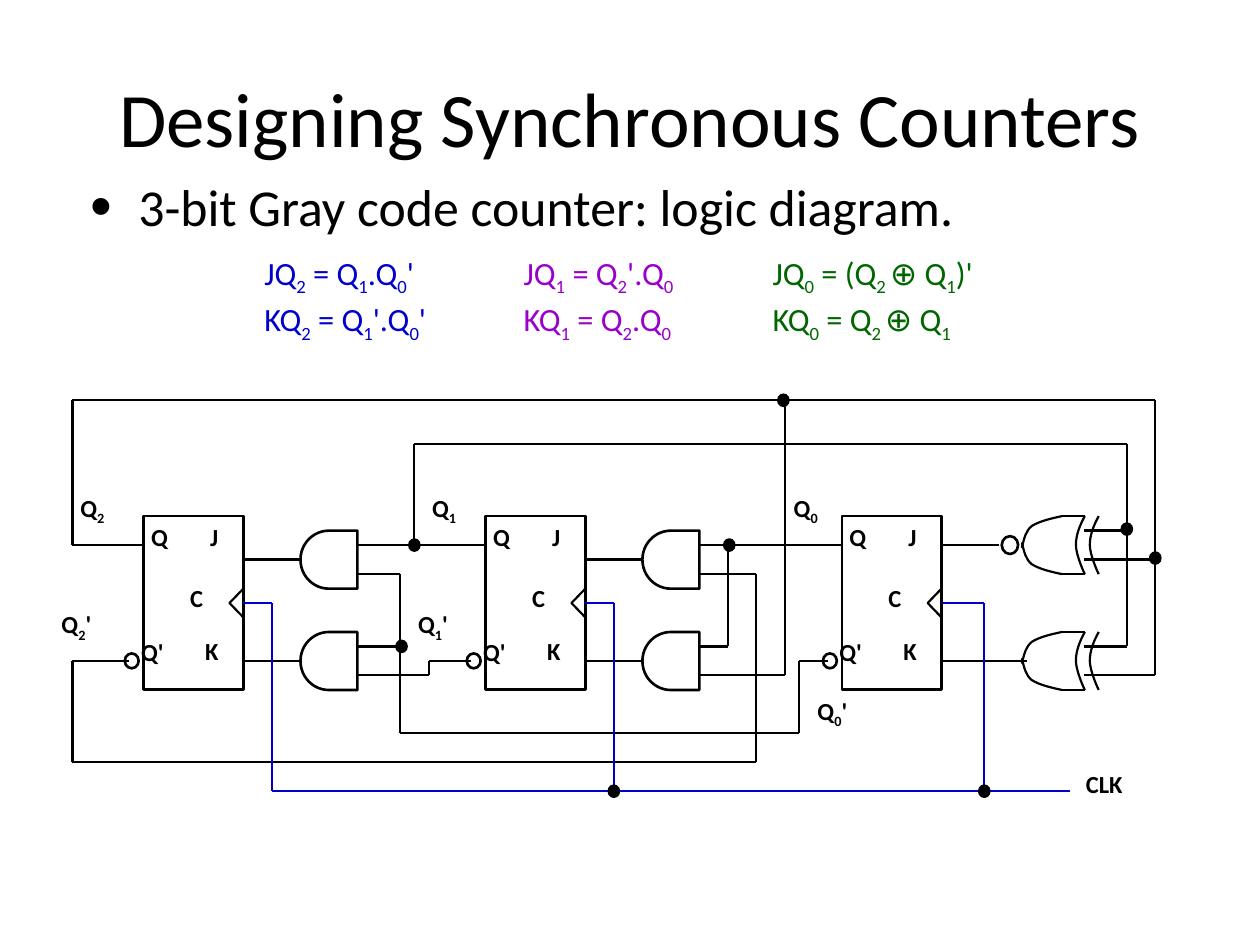
from dataclasses import dataclass

from lxml.etree import SubElement
from pptx import Presentation
from pptx.dml.color import RGBColor
from pptx.enum.shapes import MSO_CONNECTOR, MSO_SHAPE
from pptx.enum.text import MSO_ANCHOR, PP_ALIGN
from pptx.oxml.ns import qn
from pptx.util import Cm, Pt

BLACK = RGBColor(0x00, 0x00, 0x00)
BLUE = RGBColor(0x00, 0x00, 0xCC)
PURPLE = RGBColor(0x99, 0x00, 0xCC)
GREEN = RGBColor(0x00, 0x66, 0x00)

COLUMN_WIDTH = 21.83 / 76
ROW_HEIGHT = 7.88 / 27
GATE_HEIGHT = 1.17
RIGHT_SIDE = 3


@dataclass(frozen=True)
class Label:
    text: str
    left: float
    top: float
    width: float
    height: float = 1.17


@dataclass(frozen=True)
class Wire:
    points: tuple
    color: RGBColor = BLACK


FLIP_FLOP_COLUMNS = (5, 29, 54)
FLIP_FLOP_LABELS = (
    Label("J", 1.09, 0, 1.02),
    Label("C", 0.69, 1.22, 1.22),
    Label("Q", -0.1, 0, 1.14),
    Label("Q'", -0.3, 2.32, 1.45),
    Label("K", 0.99, 2.3, 1.12),
)
SIGNAL_LABELS = (
    Label("Q_2", 1.37, 9.82, 1.52),
    Label("Q_1", 8.46, 9.82, 1.52),
    Label("Q_0", 15.75, 9.82, 1.52),
    Label("Q_2_'", 0.99, 12.16, 1.63, 2.01),
    Label("Q_1_'", 8.18, 12.16, 1.63, 2.01),
    Label("Q_0_'", 16.23, 13.91, 1.63, 2.01),
    Label("CLK", 21.64, 15.37, 1.93),
)
WIRES = (
    Wire(((5, 10), (0, 10), (0, 0), (76, 0), (76, 19), (71, 19))),
    Wire(((76, 11), (71, 11))),
    Wire(((24, 10), (24, 3), (74, 3), (74, 17), (71, 17))),
    Wire(((74, 9), (71, 9))),
    Wire(((29, 10), (20, 10))),
    Wire(((54, 10), (44, 10))),
    Wire(((46, 10), (46, 17), (44, 17))),
    Wire(((50, 0), (50, 19), (44, 19))),
    Wire(((4, 18), (0, 18), (0, 25), (48, 25), (48, 12), (44, 12))),
    Wire(((53, 18), (51, 18), (51, 23), (23, 23), (23, 12), (20, 12))),
    Wire(((23, 17), (20, 17))),
    Wire(((28, 18), (25, 18), (25, 19), (20, 19))),
    Wire(((12, 11), (16, 11))),
    Wire(((12, 18), (16, 18))),
    Wire(((36, 11), (40, 11))),
    Wire(((36, 18), (40, 18))),
    Wire(((61, 10), (65, 10))),
    Wire(((61, 18), (67, 18))),
)
CLOCK_WIRES = (
    Wire(((12, 14), (14, 14), (14, 27), (70, 27)), BLUE),
    Wire(((36, 14), (38, 14), (38, 27)), BLUE),
    Wire(((61, 14), (64, 14), (64, 27)), BLUE),
)
JUNCTIONS = ((49.9, 0), (74, 8.9), (24, 10), (46.1, 10), (76, 10.9), (23.1, 17), (38, 27), (64, 27))
FORMULAS = (
    (9, (("\t\tJQ_2_ = Q_1_.Q_0_'\t ", BLUE), ("JQ_1_ = Q_2_'.Q_0\t ", PURPLE),
         ("JQ_0_ = (Q_2 _⊕ Q_1_)'", GREEN))),
    (1.5, (("\t\tKQ_2_ = Q_1_'.Q_0_'\t ", BLUE), ("KQ_1_ = Q_2_.Q_0\t ", PURPLE),
           ("KQ_0_ = Q_2 _⊕ Q_1", GREEN))),
)
TAB_STOPS = (0.97, 3.51, 8.59, 13.67)
NOSE = ((0.81, 0), (0.58, 0.05), (0.36, 0.1), (0.2, 0.2), (0.08, 0.3), (0.05, 0.43), (0, 0.64))
BACK = ((1.27, 0), (1.17, 0.18), (1.09, 0.38), (1.09, 0.58), (1.09, 0.76), (1.22, 1.07), (1.27, 1.17))


def column(number: float) -> float:
    return 1.46 + number * COLUMN_WIDTH


def row(number: float) -> float:
    return 8.07 + number * ROW_HEIGHT


def write_text(paragraph, text: str, *, size: float, color=BLACK, bold=False) -> None:
    for index, piece in enumerate(text.split("_")):
        run = paragraph.add_run()
        run.text = piece
        run.font.name = "Calibri"
        run.font.size = Pt(size)
        run.font.bold = bold
        run.font.color.rgb = color
        if index % 2:
            run._r.get_or_add_rPr().set("baseline", "-25000")


def add_text_frame(slide, left: float, top: float, width: float, height: float):
    frame = slide.shapes.add_textbox(Cm(left), Cm(top), Cm(width), Cm(height)).text_frame
    frame.word_wrap = True
    return frame


def add_label(slide, label: Label, left: float = 0, top: float = 0) -> None:
    frame = add_text_frame(slide, left + label.left, top + label.top, label.width, label.height)
    write_text(frame.paragraphs[0], label.text, size=14, bold=True)


def style_outline(shape, line: float) -> None:
    shape.shadow.inherit = False
    shape.fill.background()
    shape.line.color.rgb = BLACK
    shape.line.width = Pt(line)


def add_outline(slide, kind, left: float, top: float, width: float, height: float,
                *, line: float = 1.5, fill=None, rotation: float = 0):
    shape = slide.shapes.add_shape(kind, Cm(left), Cm(top), Cm(width), Cm(height))
    style_outline(shape, line)
    shape.rotation = rotation
    if fill is not None:
        shape.fill.solid()
        shape.fill.fore_color.rgb = fill
    return shape


def add_circle(slide, x: float, y: float, width: float, height: float, **style) -> None:
    add_outline(slide, MSO_SHAPE.OVAL, x - width / 2, y - height / 2, width, height, **style)


def add_line(slide, start: tuple, end: tuple, color=BLACK):
    connector = slide.shapes.add_connector(
        MSO_CONNECTOR.STRAIGHT, Cm(start[0]), Cm(start[1]), Cm(end[0]), Cm(end[1]))
    connector.line.color.rgb = color
    connector.line.width = Pt(1.25)
    SubElement(connector._element.spPr, qn("a:effectLst"))
    return connector


def add_wire(slide, wire: Wire) -> list:
    points = [(column(x), row(y)) for x, y in wire.points]
    return [add_line(slide, start, end, wire.color) for start, end in zip(points, points[1:])]


def add_curve(slide, controls: list) -> None:
    points = [(Cm(x), Cm(y)) for x, y in controls]
    builder = slide.shapes.build_freeform(*points[0], scale=1.0)
    builder.add_line_segments(points[1:], close=False)
    shape = builder.convert_to_shape()
    style_outline(shape, 1.25)
    segments = list(shape._element.iter(qn("a:lnTo")))
    outline = segments[0].getparent()
    for first in range(0, len(segments), 3):
        curve = SubElement(outline, qn("a:cubicBezTo"))
        for segment in segments[first:first + 3]:
            curve.append(segment[0])
            outline.remove(segment)


def add_xor_gate(slide, top: float) -> None:
    left = 20.6
    for shift in (0, 0.28):
        add_curve(slide, [(left + x + shift, top + y) for x, y in BACK])
    for edge, direction in ((top, 1), (top + GATE_HEIGHT, -1)):
        add_curve(slide, [(left + x, edge + direction * y) for x, y in NOSE])
        add_line(slide, (left + BACK[0][0], edge), (left + NOSE[0][0], edge))


def add_flip_flop(slide, left: float, top: float):
    width, height = 7 * COLUMN_WIDTH, 12 * ROW_HEIGHT
    body = add_outline(slide, MSO_SHAPE.RECTANGLE, left, top, width, height)
    add_outline(slide, MSO_SHAPE.ISOSCELES_TRIANGLE, left + width - 0.43, top + height / 2 - 0.14,
                0.58, 0.28, line=1.25, rotation=270)
    add_circle(slide, left - 0.24, row(18), 0.28, 0.3)
    for label in FLIP_FLOP_LABELS:
        add_label(slide, label, left, top)
    return body


def add_heading(slide) -> None:
    title = add_text_frame(slide, 1.27, 0.76, 22.86, 3.18)
    title.vertical_anchor = MSO_ANCHOR.MIDDLE
    title.paragraphs[0].alignment = PP_ALIGN.CENTER
    write_text(title.paragraphs[0], "Designing Synchronous Counters", size=44)

    body = add_text_frame(slide, 1.57, 3.4, 21.39, 3.61)
    bullet = body.paragraphs[0]
    bullet.space_before = Pt(2)
    properties = bullet._p.get_or_add_pPr()
    properties.set("marL", str(Cm(0.97)))
    properties.set("indent", str(Cm(-0.97)))
    SubElement(properties, qn("a:buSzPct"), val="120000")
    SubElement(properties, qn("a:buFont"), typeface="Arial")
    SubElement(properties, qn("a:buChar"), char="•")
    write_text(bullet, "3-bit Gray code counter: logic diagram.", size=29.6)

    for space, formulas in FORMULAS:
        paragraph = body.add_paragraph()
        paragraph.space_before = Pt(space)
        tabs = SubElement(paragraph._p.get_or_add_pPr(), qn("a:tabLst"))
        for stop in TAB_STOPS:
            SubElement(tabs, qn("a:tab"), pos=str(Cm(stop)), algn="l")
        for text, color in formulas:
            write_text(paragraph, text, size=18.5, color=color)


def add_diagram(slide) -> None:
    for wire in WIRES:
        add_wire(slide, wire)
    for number, wire in zip(FLIP_FLOP_COLUMNS, CLOCK_WIRES):
        flip_flop = add_flip_flop(slide, column(number), row(8))
        add_wire(slide, wire)[0].begin_connect(flip_flop, RIGHT_SIDE)
    for number in (16, 40):
        for top in (9, 16):
            add_outline(slide, MSO_SHAPE.FLOWCHART_DELAY, column(number), row(top),
                        4 * COLUMN_WIDTH, GATE_HEIGHT, rotation=180)
    for top in (8, 16):
        add_xor_gate(slide, row(top))
    add_circle(slide, 20.36, row(10), 0.33, 0.36)
    for x, y in JUNCTIONS:
        add_circle(slide, column(x), row(y), 0.23, 0.25, line=0.75, fill=BLACK)
    for label in SIGNAL_LABELS:
        add_label(slide, label)


def main() -> None:
    presentation = Presentation()
    presentation.slide_width = Cm(25.4)
    presentation.slide_height = Cm(19.05)
    slide = presentation.slides.add_slide(presentation.slide_layouts[6])
    add_heading(slide)
    add_diagram(slide)
    presentation.save("out.pptx")


if __name__ == "__main__":
    main()
